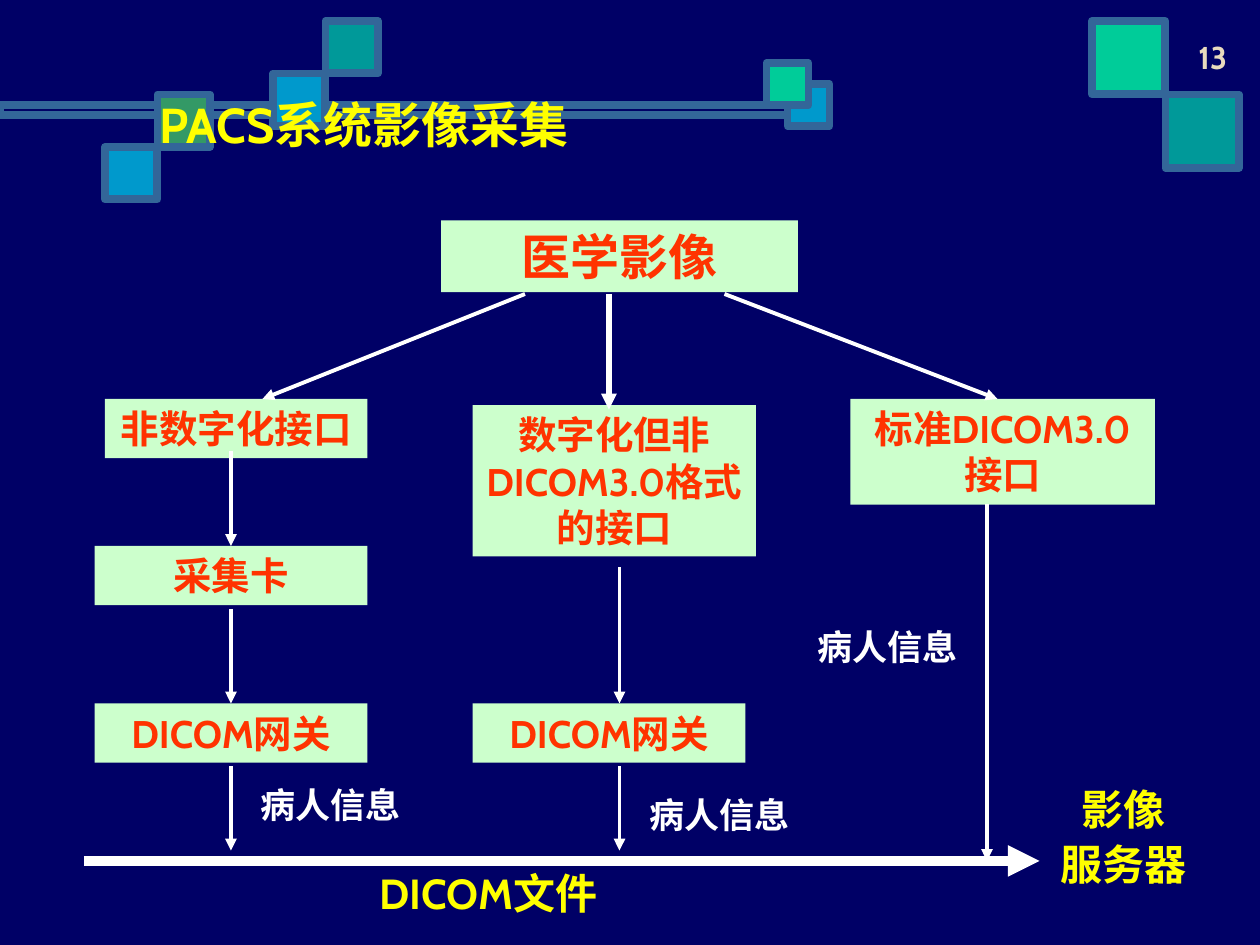
"""Build the slide on PACS image acquisition on a grid of 120 columns by 90 rows."""
import pptx
import pptx.dml.color
import pptx.enum.shapes
import pptx.enum.text
import pptx.oxml
import pptx.oxml.ns
import pptx.util

RGBColor = pptx.dml.color.RGBColor
ALIGN = pptx.enum.text.PP_ALIGN
ANCHOR = pptx.enum.text.MSO_ANCHOR
NAVY = RGBColor(0x00, 0x00, 0x66)
STEEL = RGBColor(0x33, 0x66, 0x99)
BLUE = RGBColor(0x00, 0x99, 0xCC)
MINT = RGBColor(0x00, 0xCC, 0x99)
TEAL = RGBColor(0x00, 0x99, 0x99)
GREEN = RGBColor(0x33, 0x99, 0x66)
PALE_GREEN = RGBColor(0xCC, 0xFF, 0xCC)
RED = RGBColor(0xFF, 0x33, 0x00)
YELLOW = RGBColor(0xFF, 0xFF, 0x00)
WHITE = RGBColor(0xFF, 0xFF, 0xFF)
SAND = RGBColor(0xE8, 0xDA, 0xBE)
FONT = "Cabin"


def grid(*cells):
    return [pptx.util.Inches(cell / 12) for cell in cells]


def write_text(shape, text, size=20, color=WHITE, align=ALIGN.CENTER,
               anchor=ANCHOR.TOP, gap=0):
    frame = shape.text_frame
    frame.word_wrap = True
    frame.vertical_anchor = anchor
    frame.text = text
    for index, paragraph in enumerate(frame.paragraphs):
        paragraph.alignment = align
        if index:
            paragraph.space_before = pptx.util.Pt(gap)
        font = paragraph.font
        font.name = FONT
        font.size = pptx.util.Pt(size)
        font.bold = True
        font.color.rgb = color


def add_label(slide, text, left, top, width, height, **style):
    write_text(slide.shapes.add_textbox(*grid(left, top, width, height)), text, **style)


def add_rectangle(slide, left, top, width, height, fill=None, line=None):
    shape = slide.shapes.add_shape(pptx.enum.shapes.MSO_SHAPE.RECTANGLE,
                                   *grid(left, top, width, height))
    shape.shadow.inherit = False
    if fill is None:
        shape.fill.background()
    else:
        shape.fill.solid()
        shape.fill.fore_color.rgb = fill
    if line is None:
        shape.line.fill.background()
    else:
        shape.line.color.rgb = line
        shape.line.width = pptx.util.Pt(4.5)
    return shape


def add_step(slide, text, left, top, width, height=5.64, size=22):
    box = add_rectangle(slide, left, top, width, height, fill=PALE_GREEN)
    write_text(box, text, size=size, color=RED)


def add_arrow(slide, start_column, start_row, end_column, end_row, width=2.25):
    arrow = slide.shapes.add_connector(
        pptx.enum.shapes.MSO_CONNECTOR.STRAIGHT,
        *grid(start_column, start_row, end_column, end_row))
    arrow.line.color.rgb = WHITE
    arrow.line.width = pptx.util.Pt(width)
    namespace = pptx.oxml.ns.nsdecls("a")
    arrow.line._get_or_add_ln().append(
        pptx.oxml.parse_xml(f'<a:tailEnd {namespace} type="triangle"/>'))
    arrow._element.spPr.append(pptx.oxml.parse_xml(f"<a:effectLst {namespace}/>"))


def add_decoration(slide):
    add_rectangle(slide, 0, 10, 77, 1, line=STEEL)
    for left, top, side, fill in [
        (75, 8, 4, BLUE), (73, 6, 4, MINT),
        (104, 2, 7, MINT), (111, 9, 7, TEAL),
        (26, 7, 5, BLUE), (10, 14, 5, BLUE), (15, 9, 5, GREEN), (31, 2, 5, TEAL),
    ]:
        add_rectangle(slide, left, top, side, side, fill=fill, line=STEEL)


def add_flow(slide):
    add_step(slide, "医学影像", 42, 21, 34, 6.84, size=28)
    add_step(slide, "非数字化接口", 10, 38, 25)
    add_step(slide, "采集卡", 9, 52, 26)
    add_step(slide, "数字化但非DICOM3.0格式的接口", 45, 38.6, 27, 14.4)
    add_step(slide, "标准DICOM3.0接口", 81, 38, 29, 10.08)
    for left in (9, 45):
        add_step(slide, "DICOM网关", left, 67, 26)

    add_arrow(slide, 8, 82, 99, 82, width=6)
    add_arrow(slide, 58, 28, 58, 39, width=3)
    for start, end in [(50, 25), (69, 95)]:
        add_arrow(slide, start, 28, end, 38)
    for column, start, end in [(22, 43, 52), (22, 58, 67), (22, 73, 81),
                               (59, 54, 67), (59, 73, 81), (94, 48, 82)]:
        add_arrow(slide, column, start, column, end)


def main():
    presentation = pptx.Presentation()
    presentation.slide_width, presentation.slide_height = grid(120, 90)
    slide = presentation.slides.add_slide(presentation.slide_layouts[6])
    slide.background.fill.solid()
    slide.background.fill.fore_color.rgb = NAVY

    add_decoration(slide)
    add_label(slide, "13", 108, 3, 15, 5.3, size=18, color=SAND)
    add_label(slide, "PACS系统影像采集", 14, 7.5, 93, 8.5, size=28, color=YELLOW,
              align=ALIGN.LEFT, anchor=ANCHOR.MIDDLE)
    add_flow(slide)
    add_label(slide, "影像\n服务器", 99, 74, 16, 11.3, size=24, color=YELLOW, gap=3)
    add_label(slide, "DICOM文件", 33, 82, 27, 6, size=24, color=YELLOW)
    for left, top in [(23, 74), (60, 75), (76, 59)]:
        add_label(slide, "病人信息", left, top, 17, 5.3)
    presentation.save("out.pptx")


if __name__ == "__main__":
    main()
